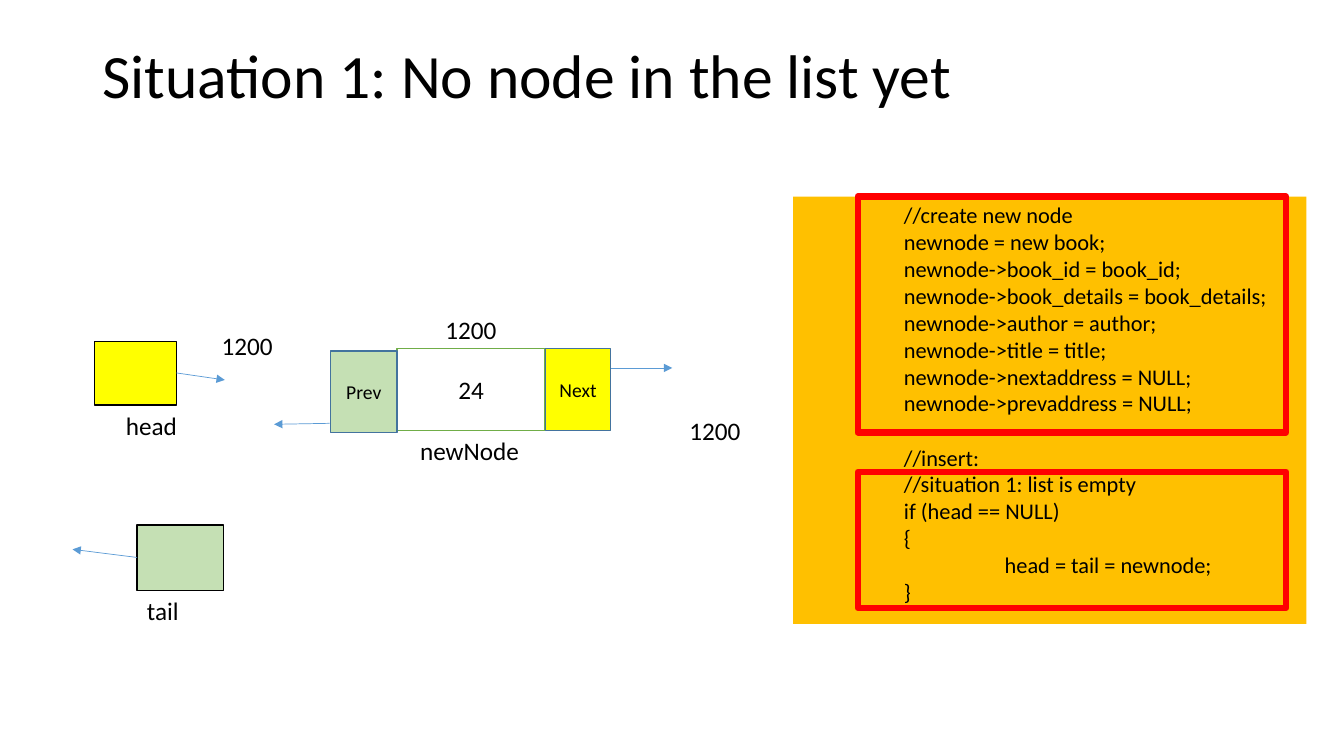
import pptx
import pptx.util
import pptx.dml.color
import pptx.enum.shapes
import pptx.enum.text
import pptx.oxml
import pptx.oxml.ns

Pt = pptx.util.Pt
RGBColor = pptx.dml.color.RGBColor
ANCHOR = pptx.enum.text.MSO_ANCHOR
ALIGN = pptx.enum.text.PP_ALIGN
RECTANGLE = pptx.enum.shapes.MSO_SHAPE.RECTANGLE
STRAIGHT = pptx.enum.shapes.MSO_CONNECTOR.STRAIGHT

BLACK = RGBColor(0x00, 0x00, 0x00)
WHITE = RGBColor(0xFF, 0xFF, 0xFF)
YELLOW = RGBColor(0xFF, 0xFF, 0x00)
PALE_GREEN = RGBColor(0xC5, 0xE0, 0xB4)
GREEN = RGBColor(0x70, 0xAD, 0x47)
BLUE = RGBColor(0x5B, 0x9B, 0xD5)
DARK_BLUE = RGBColor(0x43, 0x73, 0x9E)
ORANGE = RGBColor(0xFF, 0xC0, 0x00)
RED = RGBColor(0xFF, 0x00, 0x00)

FONT = "Calibri"
CODE_SIZE = 16
CODE_LINE = 19.5  # height of one code line
TAB = 72

# Each code section is a list of (indent level, line)
CREATE_CODE = [
    (1, "//create new node"),
    (1, "newnode = new book;"),
    (1, "newnode->book_id = book_id;"),
    (1, "newnode->book_details = book_details;"),
    (1, "newnode->author = author;"),
    (1, "newnode->title = title;"),
    (1, "newnode->nextaddress = NULL;"),
    (1, "newnode->prevaddress = NULL;"),
]
INSERT_CODE = [
    (1, "//insert:"),
    (1, "//situation 1: list is empty"),
    (1, "if (head == NULL)"),
    (1, "{"),
    (2, "head = tail = newnode;"),
    (1, "}"),
]


def add_run(paragraph, text, size):
    run = paragraph.add_run()
    run.text = text
    run.font.name = FONT
    run.font.size = Pt(size)
    run.font.color.rgb = BLACK


def add_box(shapes, left, top, width, height, fill=None, line=None,
            line_width=1, text=None, size=18):
    box = shapes.add_shape(RECTANGLE, Pt(left), Pt(top), Pt(width), Pt(height))
    box.shadow.inherit = False
    if fill is None:
        box.fill.background()
    else:
        box.fill.solid()
        box.fill.fore_color.rgb = fill
    if line is None:
        box.line.fill.background()
    else:
        box.line.color.rgb = line
        box.line.width = Pt(line_width)
    if text:
        box.text_frame.vertical_anchor = ANCHOR.MIDDLE
        paragraph = box.text_frame.paragraphs[0]
        paragraph.alignment = ALIGN.CENTER
        add_run(paragraph, text, size)
    return box


def add_label(shapes, left, top, width, text, height=28.8, size=18, wrap=False):
    label = shapes.add_textbox(Pt(left), Pt(top), Pt(width), Pt(height))
    label.text_frame.word_wrap = wrap
    paragraph = label.text_frame.paragraphs[0]
    add_run(paragraph, text, size)
    return paragraph


def add_pointer(shapes, start_x, start_y, end_x, end_y):
    pointer = shapes.add_connector(
        STRAIGHT, Pt(start_x), Pt(start_y), Pt(end_x), Pt(end_y))
    pointer.line.color.rgb = BLUE
    pointer.line.width = Pt(0.5)
    qn = pptx.oxml.ns.qn
    arrowhead = pointer.line._get_or_add_ln().makeelement(
        qn("a:tailEnd"), {"type": "triangle"})
    pointer.line._get_or_add_ln().append(arrowhead)
    properties = pointer._element.spPr
    properties.append(properties.makeelement(qn("a:effectLst"), {}))


def add_code(shapes, left, top, width, height, sections):
    panel = add_box(shapes, left, top, width, height, fill=ORANGE)
    frame = panel.text_frame
    frame.word_wrap = True
    frame.vertical_anchor = ANCHOR.TOP
    paragraph = frame.paragraphs[0]
    for section_number, section in enumerate(sections):
        for line_number, (level, text) in enumerate(section):
            if section_number or line_number:
                paragraph = frame.add_paragraph()
            if section_number and not line_number:
                paragraph.space_before = Pt(CODE_LINE)
            paragraph.alignment = ALIGN.LEFT
            paragraph._p.get_or_add_pPr().set("marL", str(Pt(level * TAB)))
            add_run(paragraph, text, CODE_SIZE)


def main():
    deck = pptx.Presentation()
    deck.slide_width, deck.slide_height = Pt(960), Pt(540)
    slide = deck.slides.add_slide(deck.slide_layouts[6])
    shapes = slide.shapes

    # Title
    title = add_label(shapes, 66, 28.8, 828, "Situation 1: No node in the list yet",
                      height=104.4, size=44, wrap=True)
    title.line_spacing = 0.9

    # Head pointer
    head = shapes.add_group_shape().shapes
    add_box(head, 67.7, 244, 58.3, 45.4, YELLOW, BLACK)
    add_label(head, 82.8, 289.4, 51.8, "head")
    add_pointer(head, 126, 266.4, 160.6, 271.4)

    # Tail pointer
    tail = shapes.add_group_shape().shapes
    add_box(tail, 97.9, 375.1, 61.9, 46.8, PALE_GREEN, BLACK)
    add_label(tail, 97.9, 421.9, 37.4, "tail")
    add_pointer(tail, 97.9, 398.2, 51.8, 392.4)

    # Addresses beside the pointers
    for left, top in ((151.2, 232.6), (485.3, 293)):
        add_label(shapes, left, top, 51.1, "1200")

    # New node
    node = shapes.add_group_shape().shapes
    add_box(node, 283.7, 249.1, 105.8, 58.3, WHITE, GREEN, text="24")
    add_label(node, 293, 307.4, 86.4, "newNode")
    add_label(node, 311, 221, 51.1, "1200")
    add_box(node, 389.5, 249.1, 46.8, 58.3, YELLOW, DARK_BLUE, text="Next", size=14)
    add_pointer(node, 436.3, 262.8, 480.2, 262.8)
    add_pointer(node, 235.4, 302.4, 195.8, 303.1)
    add_box(node, 236.2, 250.6, 47.5, 58.3, PALE_GREEN, DARK_BLUE, text="Prev", size=14)

    # Code with its two highlighted sections
    add_code(shapes, 566.6, 140.4, 366.5, 305.3, (CREATE_CODE, INSERT_CODE))
    for top, height in ((140.4, 168.5), (337, 97.2)):
        add_box(shapes, 612.7, top, 306, height, line=RED, line_width=4.5)

    deck.save("out.pptx")


main()
